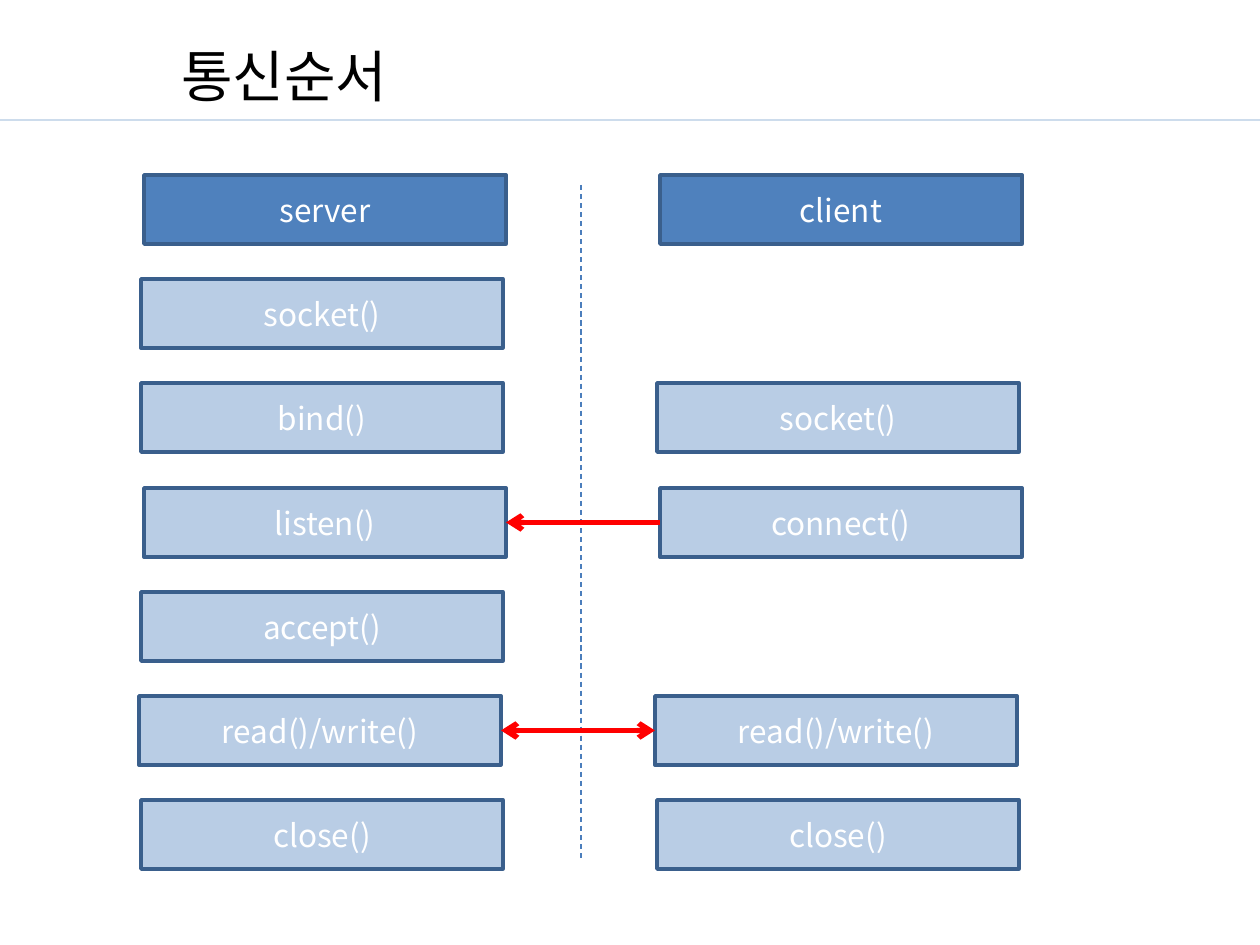
from dataclasses import dataclass

from lxml import etree
from pptx import Presentation
from pptx.dml.color import RGBColor
from pptx.enum.dml import MSO_LINE
from pptx.enum.shapes import MSO_CONNECTOR, MSO_SHAPE
from pptx.enum.text import MSO_ANCHOR, PP_ALIGN
from pptx.oxml.ns import qn
from pptx.util import Emu, Pt

RECT = MSO_SHAPE.RECTANGLE
STRAIGHT = MSO_CONNECTOR.STRAIGHT
DASH = MSO_LINE.DASH
MIDDLE, BOTTOM = MSO_ANCHOR.MIDDLE, MSO_ANCHOR.BOTTOM
CENTER, LEFT = PP_ALIGN.CENTER, PP_ALIGN.LEFT

FONT = "Noto Sans CJK KR"
EMU_PER_PX = 914400 / 126
BOX_W, BOX_H = 362, 69
FIRST_TOP, ROW_PITCH = 175, 104.2
CLIENT_SHIFT = 516
LEFT_SITE, RIGHT_SITE = 1, 3
HEADER_FILL, CALL_FILL, BOX_LINE = "4F81BD", "B9CDE5", "3A5F8C"


@dataclass(frozen=True)
class Step:
    row: int
    left: int
    server: str
    client: str = ""
    fill: str = CALL_FILL


STEPS = [
    Step(0, 144, "server", "client", HEADER_FILL),
    Step(1, 141, "socket()"),
    Step(2, 141, "bind()", "socket()"),
    Step(3, 144, "listen()", "connect()"),
    Step(4, 141, "accept()"),
    Step(5, 139, "read()/write()", "read()/write()"),
    Step(6, 141, "close()", "close()"),
]


def px(n: float) -> Emu:
    return Emu(round(n * EMU_PER_PX))


def rgb(color: str) -> RGBColor:
    return RGBColor.from_string(color)


def write(sp, text: str, size: int, color: str, align, anchor) -> None:
    tf = sp.text_frame
    tf.word_wrap = True
    tf.vertical_anchor = anchor
    tf.text = text
    p = tf.paragraphs[0]
    p.alignment = align
    r = p.runs[0]
    r.font.name = FONT
    r.font.size = Pt(size)
    r.font.color.rgb = rgb(color)
    etree.SubElement(r.font._element, qn("a:ea"), typeface=FONT)


def add_box(s, left: int, row: int, text: str, fill: str):
    top = round(FIRST_TOP + row * ROW_PITCH)
    sp = s.shapes.add_shape(RECT, px(left), px(top), px(BOX_W), px(BOX_H))
    sp.shadow.inherit = False
    sp.fill.solid()
    sp.fill.fore_color.rgb = rgb(fill)
    sp.line.color.rgb = rgb(BOX_LINE)
    sp.line.width = Pt(2)
    write(sp, text, 18, "FFFFFF", CENTER, MIDDLE)
    return sp


def add_line(s, x1: int, y1: int, x2: int, y2: int, color: str, width: float):
    c = s.shapes.add_connector(STRAIGHT, px(x1), px(y1), px(x2), px(y2))
    c.line.color.rgb = rgb(color)
    c.line.width = Pt(width)
    etree.SubElement(c._element.spPr, qn("a:effectLst"))
    return c


def add_arrow(s, start, start_site: int, end, end_site: int, ends: list[str]) -> None:
    c = add_line(s, 0, 0, 0, 0, "FF0000", 3)
    c.begin_connect(start, start_site)
    c.end_connect(end, end_site)
    for tag in ends:
        etree.SubElement(c.line._get_or_add_ln(), qn(tag), type="arrow")


prs = Presentation()
prs.slide_width, prs.slide_height = px(1260), px(945)
s = prs.slides.add_slide(prs.slide_layouts[6])

rule = add_line(s, 0, 120, 1260, 120, "95B3D7", 0.75)
rule_color = rule.line._get_or_add_ln().find(".//" + qn("a:srgbClr"))
etree.SubElement(rule_color, qn("a:alpha"), val="70000")

title = s.shapes.add_textbox(px(169), px(-14), px(1076), px(129))
write(title, "통신순서", 32, "000000", LEFT, BOTTOM)

servers = {st.row: add_box(s, st.left, st.row, st.server, st.fill) for st in STEPS}
clients = {
    st.row: add_box(s, st.left + CLIENT_SHIFT, st.row, st.client, st.fill)
    for st in STEPS
    if st.client
}

divider = add_line(s, 581, 185, 581, 859, "4B7EBC", 0.75)
divider.line.dash_style = DASH
add_arrow(s, clients[3], LEFT_SITE, servers[3], RIGHT_SITE, ["a:tailEnd"])
add_arrow(s, servers[5], RIGHT_SITE, clients[5], LEFT_SITE, ["a:headEnd", "a:tailEnd"])

prs.save("out.pptx")
